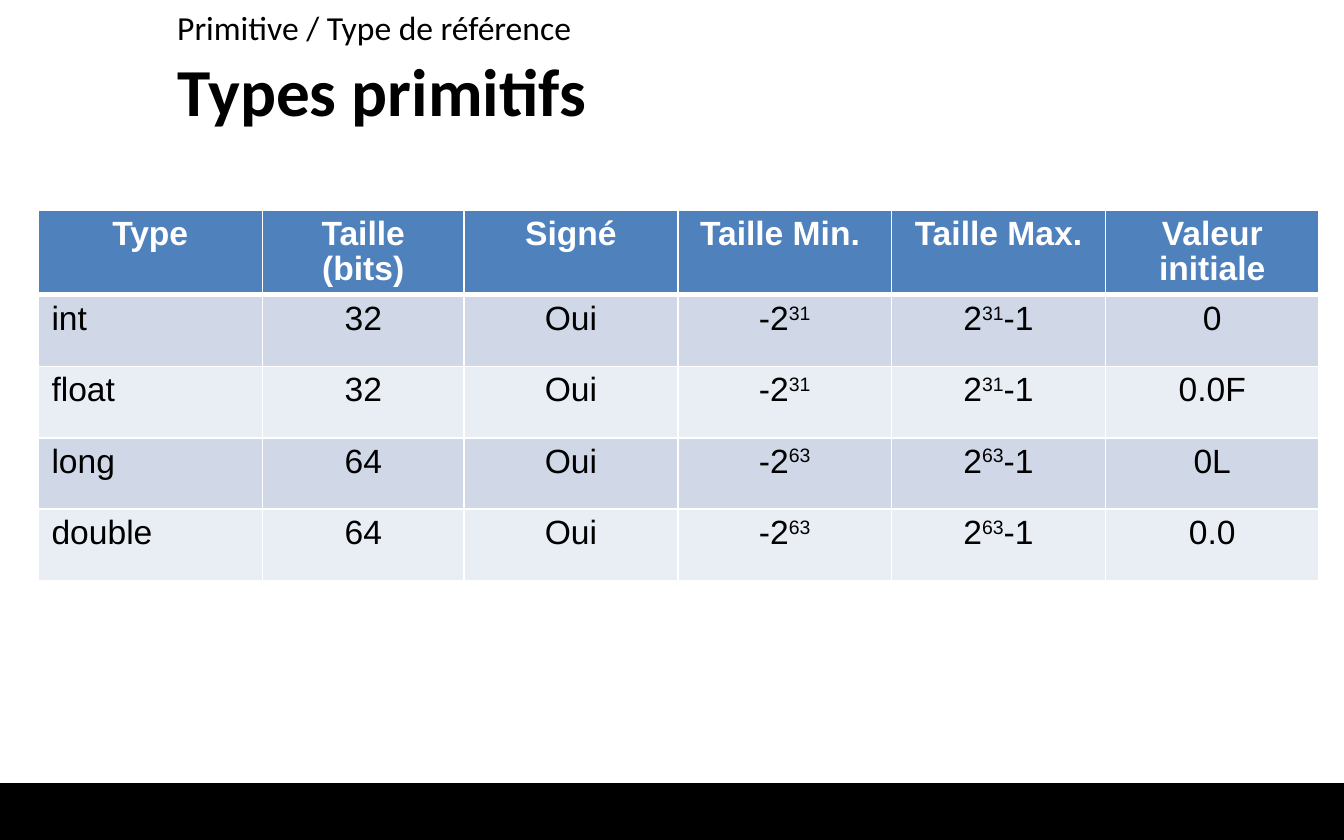
from lxml import etree
from pptx import Presentation
from pptx.dml.color import RGBColor
from pptx.enum.shapes import MSO_SHAPE
from pptx.enum.text import MSO_ANCHOR, PP_ALIGN
from pptx.oxml.ns import qn
from pptx.util import Cm, Pt

RECTANGLE = MSO_SHAPE.RECTANGLE
TOP = MSO_ANCHOR.TOP
LEFT, CENTER = PP_ALIGN.LEFT, PP_ALIGN.CENTER

COLORS = {
    "ink": "000000",
    "paper": "FFFFFF",
    "header": "4F81BD",
    "odd": "D0D8E8",
    "even": "E9EDF4",
}
HEADERS = ["Type", "Taille (bits)", "Signé", "Taille Min. ", "Taille Max.", "Valeur initiale"]
TYPES = [("int", 32, "0"), ("float", 32, "0.0F"), ("long", 64, "0L"), ("double", 64, "0.0")]
COLUMN_WIDTHS = [4.24, 3.81] + [4.04] * 4
ROW_HEIGHT = 1.35


class SlideBuilder:
    heading_font = "Calibri"
    table_font = "Arial"
    text_size = 18

    def __init__(self, deck):
        self.slide = deck.slides.add_slide(deck.slide_layouts[6])

    def color(self, name):
        return RGBColor.from_string(COLORS[name])

    def span(self, para, text, font, size, color, bold=False, raised=False):
        span = para.add_run()
        span.text = text
        span.font.name = font
        span.font.size = Pt(size)
        span.font.bold = bold
        span.font.color.rgb = self.color(color)
        if raised:
            span.font._element.set("baseline", "30000")

    def bar(self, left, top, width, height):
        bar = self.slide.shapes.add_shape(RECTANGLE, Cm(left), Cm(top), Cm(width), Cm(height))
        bar.shadow.inherit = False
        bar.fill.solid()
        bar.fill.fore_color.rgb = self.color("ink")
        bar.line.color.rgb = self.color("ink")
        bar.line.width = Pt(0.75)

    def heading(self, text, left, top, width, height, size, bold=False, inset=0.13):
        box = self.slide.shapes.add_textbox(Cm(left), Cm(top), Cm(width), Cm(height))
        frame = box.text_frame
        frame.word_wrap = True
        frame.vertical_anchor = TOP
        frame.margin_top = frame.margin_bottom = Cm(inset)
        self.span(frame.paragraphs[0], text, self.heading_font, size, "ink", bold)

    def borders(self, cell, bottom):
        properties = cell._tc.get_or_add_tcPr()
        for index, (side, width) in enumerate([("L", 1), ("R", 1), ("T", 1), ("B", bottom)]):
            line = etree.Element(qn(f"a:ln{side}"), w=str(Pt(width)))
            fill = etree.SubElement(line, qn("a:solidFill"))
            etree.SubElement(fill, qn("a:srgbClr"), val=COLORS["paper"])
            properties.insert(index, line)

    def cell(self, cell, text, fill, align, header):
        cell.fill.solid()
        cell.fill.fore_color.rgb = self.color(fill)
        self.borders(cell, 3 if header else 1)
        para = cell.text_frame.paragraphs[0]
        para.alignment = align
        para.line_spacing = 0.95
        color = "paper" if header else "ink"
        for index, part in enumerate(text.split("^")):
            if part:
                self.span(para, part, self.table_font, self.text_size, color, header, index % 2 == 1)

    def table(self, rows, left, top):
        frame = self.slide.shapes.add_table(
            len(rows), len(COLUMN_WIDTHS), Cm(left), Cm(top),
            Cm(sum(COLUMN_WIDTHS)), Cm(ROW_HEIGHT * len(rows)))
        table = frame.table
        for column, width in zip(table.columns, COLUMN_WIDTHS):
            column.width = Cm(width)
        for row_index, texts in enumerate(rows):
            header = row_index == 0
            fill = "header" if header else ("odd" if row_index % 2 else "even")
            for column_index, text in enumerate(texts):
                align = LEFT if column_index == 0 and not header else CENTER
                self.cell(table.cell(row_index, column_index), text, fill, align, header)


def type_row(name, bits, initial):
    power = f"2^{bits - 1}^"
    return [name, str(bits), "Oui", f"-{power}", f"{power}-1", initial]


def main():
    deck = Presentation()
    deck.slide_width, deck.slide_height = Cm(25.4), Cm(15.88)
    page = SlideBuilder(deck)
    page.bar(0, 14.81, 25.4, 1.14)
    page.table([HEADERS] + [type_row(*entry) for entry in TYPES], 0.72, 3.97)
    page.heading("Types primitifs", 3.1, 0.94, 21.6, 1.4, 36, bold=True, inset=0)
    page.heading("Primitive / Type de référence", 3.1, 0, 21.6, 0.94, 18)
    deck.save("out.pptx")


if __name__ == "__main__":
    main()
